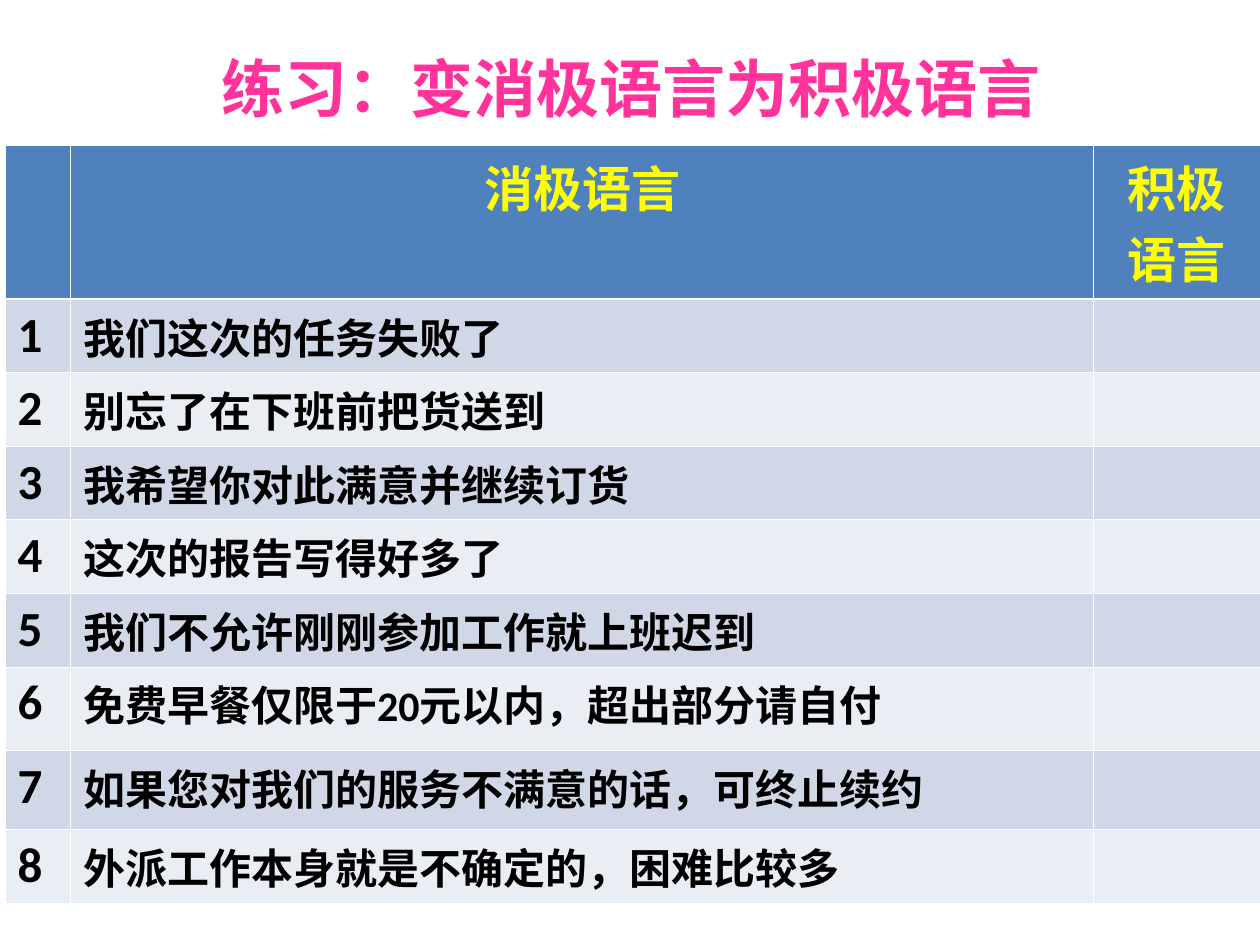
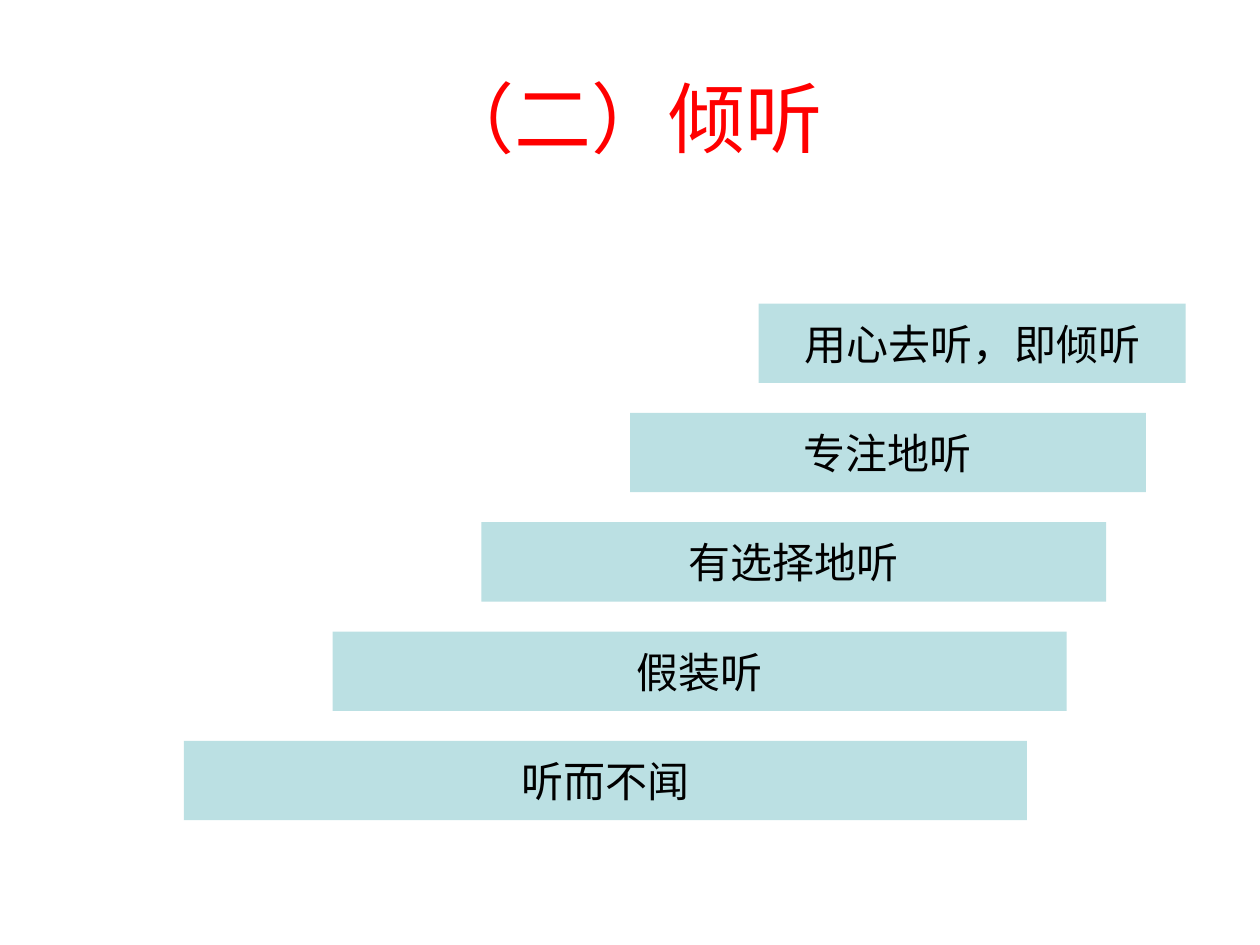
from dataclasses import dataclass

from lxml import etree
from pptx import Presentation
from pptx import util as u
from pptx.dml.color import RGBColor
from pptx.enum import shapes, text
from pptx.oxml.ns import qn


@dataclass(frozen=True)
class Theme:
    pink: str = "FF3399"
    red: str = "FF0000"
    yellow: str = "FFFF00"
    black: str = "000000"
    white: str = "FFFFFF"
    header: str = "4F81BD"
    bands: tuple[str, str] = ("D0D8E8", "E9EDF4")
    bar: str = "BBE0E3"
    thin: float = 0.45
    thick: float = 1.47
    title_size: int = 36
    section_size: int = 44
    head_size: int = 28
    body_size: int = 24
    table_font: str = "Calibri"
    section_font: str = "Arial"
    bar_font: str = "Times New Roman"


@dataclass(frozen=True)
class Box:
    left: float
    top: float
    width: float
    height: float

    def lengths(self) -> tuple[u.Length, ...]:
        return tuple(u.Inches(v) for v in (self.left, self.top, self.width, self.height))


@dataclass(frozen=True)
class ListeningLevel:
    label: str
    left: float


THEME = Theme()

TABLE_BOX = Box(0.04, 1.15, 9.96, 5.81)
COLUMN_WIDTHS = (0.52, 8.12, 1.32)
ROW_HEIGHTS = (1.06, 0.58, 0.58, 0.58, 0.58, 0.58, 0.66, 0.63, 0.57)
HEADINGS = ("", "消极语言", "积极语言")
NEGATIVE_PHRASES = (
    "我们这次的任务失败了",
    "别忘了在下班前把货送到",
    "我希望你对此满意并继续订货",
    "这次的报告写得好多了",
    "我们不允许刚刚参加工作就上班迟到",
    "免费早餐仅限于20元以内，超出部分请自付",
    "如果您对我们的服务不满意的话，可终止续约",
    "外派工作本身就是不确定的，困难比较多",
)

LEVELS = (
    ListeningLevel("用心去听，即倾听", 6.02),
    ListeningLevel("专注地听", 5.0),
    ListeningLevel("有选择地听", 3.82),
    ListeningLevel("假装听", 2.64),
    ListeningLevel("听而不闻", 1.46),
)
BAR_TOP, BAR_BOTTOM, BAR_HEIGHT = 2.41, 5.88, 0.63
FIRST_RIGHT, LAST_RIGHT = 9.41, 8.15


def write(tf, content: str, *, size: int, font: str, color: str,
          bold: bool = False, align=text.PP_ALIGN.CENTER) -> None:
    p = tf.paragraphs[0]
    p.alignment = align
    r = p.add_run()
    r.text = content
    r.font.size = u.Pt(size)
    r.font.name = font
    r.font.bold = bold
    r.font.color.rgb = RGBColor.from_string(color)


def add_titled_slide(prs, title: str, box: Box, **style):
    s = prs.slides.add_slide(prs.slide_layouts[5])
    sp = s.shapes.title
    sp.left, sp.top, sp.width, sp.height = box.lengths()
    tf = sp.text_frame
    tf.auto_size = text.MSO_AUTO_SIZE.NONE
    tf.vertical_anchor = text.MSO_ANCHOR.MIDDLE
    write(tf, title, **style)
    return s


def set_borders(cell, **widths: float) -> None:
    props = cell._tc.get_or_add_tcPr()
    for side in "LRTB":
        width = widths.get(side, THEME.thin)
        line = etree.SubElement(props, qn(f"a:ln{side}"), w=str(u.Pt(width)))
        fill = etree.SubElement(line, qn("a:solidFill"))
        etree.SubElement(fill, qn("a:srgbClr"), val=THEME.white)


def fill_cell(cell, content: str, fill: str, borders: dict[str, float], **style) -> None:
    set_borders(cell, **borders)
    cell.fill.solid()
    cell.fill.fore_color.rgb = RGBColor.from_string(fill)
    if content:
        write(cell.text_frame, content, font=THEME.table_font, bold=True, **style)


def add_phrase_table(s) -> None:
    table = s.shapes.add_table(
        len(ROW_HEIGHTS), len(COLUMN_WIDTHS), *TABLE_BOX.lengths()).table
    for column, width in zip(table.columns, COLUMN_WIDTHS):
        column.width = u.Inches(width)
    for row, height in zip(table.rows, ROW_HEIGHTS):
        row.height = u.Inches(height)
    for c, heading in enumerate(HEADINGS):
        fill_cell(table.cell(0, c), heading, THEME.header, {"B": THEME.thick},
                  size=THEME.head_size, color=THEME.yellow)
    sizes = (THEME.head_size, THEME.body_size, THEME.body_size)
    for n, phrase in enumerate(NEGATIVE_PHRASES, start=1):
        borders = {"T": THEME.thick} if n == 1 else {}
        for c, content in enumerate((str(n), phrase, "")):
            fill_cell(table.cell(n, c), content, THEME.bands[(n - 1) % 2], borders,
                      size=sizes[c], color=THEME.black, align=text.PP_ALIGN.LEFT)


def add_level_bar(s, level: ListeningLevel, index: int) -> None:
    part = index / (len(LEVELS) - 1)
    top = BAR_TOP + part * (BAR_BOTTOM - BAR_TOP)
    right = FIRST_RIGHT + part * (LAST_RIGHT - FIRST_RIGHT)
    box = Box(level.left, top, right - level.left, BAR_HEIGHT)
    sp = s.shapes.add_shape(shapes.MSO_SHAPE.RECTANGLE, *box.lengths())
    sp.shadow.inherit = False
    sp.fill.solid()
    sp.fill.fore_color.rgb = RGBColor.from_string(THEME.bar)
    sp.line.fill.background()
    tf = sp.text_frame
    tf.word_wrap = False
    tf.vertical_anchor = text.MSO_ANCHOR.MIDDLE
    write(tf, level.label, size=THEME.body_size, font=THEME.bar_font, color=THEME.black)


def main() -> None:
    prs = Presentation()
    prs.slide_width, prs.slide_height = u.Inches(10), u.Inches(7.5)

    s = add_titled_slide(prs, "练习：变消极语言为积极语言", Box(0.51, 0.31, 8.99, 0.77),
                         size=THEME.title_size, font=THEME.table_font,
                         color=THEME.pink, bold=True)
    add_phrase_table(s)

    s = add_titled_slide(prs, "（二）倾听", Box(0.5, 0.3, 9, 1.25),
                         size=THEME.section_size, font=THEME.section_font,
                         color=THEME.red)
    for index, level in enumerate(LEVELS):
        add_level_bar(s, level, index)

    prs.save("out.pptx")


if __name__ == "__main__":
    main()
